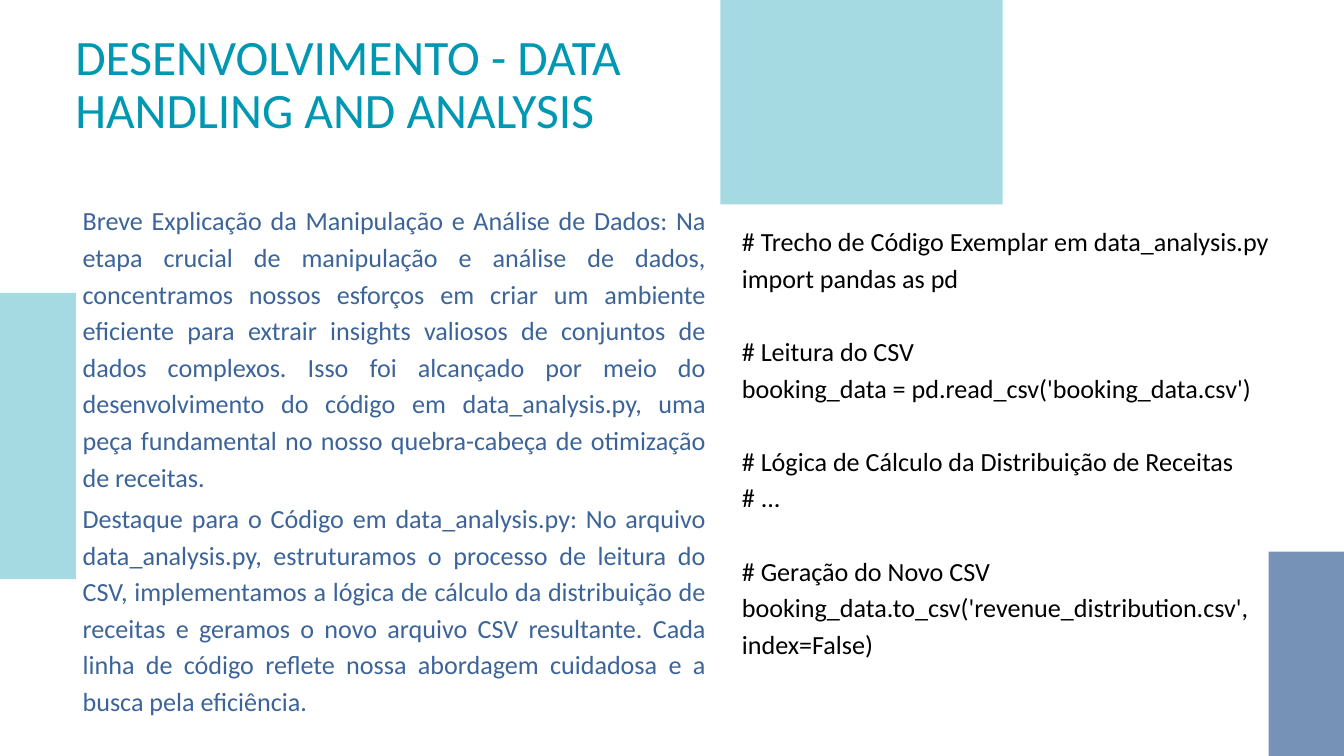
from dataclasses import dataclass

import pptx
import pptx.dml.color
import pptx.enum.shapes
import pptx.enum.text
import pptx.oxml.ns
import pptx.util
from lxml import etree
from pptx.util import Inches

ALIGN = pptx.enum.text.PP_ALIGN


@dataclass(frozen=True)
class Theme:
    """Colours, font and type sizes of the slide."""
    font: str = "Calibri"
    heading: str = "0097B2"
    prose: str = "3C6499"
    code: str = "000000"
    aqua: str = "80CBD8"
    navy: str = "3C6499"
    block_opacity: int = 70
    heading_size: float = 53
    heading_leading: float = 57.2
    body_size: float = 28
    body_leading: float = 39.2


THEME = Theme()

TITLE = "DESENVOLVIMENTO - DATA HANDLING AND ANALYSIS"
EXPLANATION = (
    "Breve Explicação da Manipulação e Análise de Dados: Na etapa crucial de manipulação e "
    "análise de dados, concentramos nossos esforços em criar um ambiente eficiente para extrair "
    "insights valiosos de conjuntos de dados complexos. Isso foi alcançado por meio do "
    "desenvolvimento do código em data_analysis.py, uma peça fundamental no nosso quebra-cabeça "
    "de otimização de receitas."
)
HIGHLIGHT = (
    "Destaque para o Código em data_analysis.py: No arquivo data_analysis.py, estruturamos o "
    "processo de leitura do CSV, implementamos a lógica de cálculo da distribuição de receitas e "
    "geramos o novo arquivo CSV resultante. Cada linha de código reflete nossa abordagem "
    "cuidadosa e a busca pela eficiência."
)
CODE_SECTIONS = [
    ["# Trecho de Código Exemplar em data_analysis.py", "import pandas as pd"],
    ["# Leitura do CSV", "booking_data = pd.read_csv('booking_data.csv')"],
    ["# Lógica de Cálculo da Distribuição de Receitas", "# ..."],
    ["# Geração do Novo CSV", "booking_data.to_csv('revenue_distribution.csv', index=False)"],
]

ACCENT_BLOCKS = [
    ((18.88, 8.21, 4.26, 3.84), THEME.navy),
    ((10.72, -0.01, 4.2, 3.05), THEME.aqua),
    ((-3.07, 4.36, 4.2, 4.26), THEME.aqua),
]
TITLE_BOX = (1.12, 0.47, 8.23, 2.4)
EXPLANATION_BOX = (1.23, 2.97, 9.27, 4.33)
HIGHLIGHT_BOX = (1.23, 7.4, 9.27, 3.25)
CODE_BOX = (11.04, 3.28, 9.27, 7.04)


def set_attributes(target, values):
    """Set each named value on the target."""
    for name, value in values.items():
        setattr(target, name, value)


def format_frame(frame):
    """Remove the insets and let the text wrap from the top."""
    set_attributes(frame, {
        "margin_left": 0, "margin_top": 0, "margin_right": 0, "margin_bottom": 0,
        "word_wrap": True,
        "vertical_anchor": pptx.enum.text.MSO_ANCHOR.TOP,
        "auto_size": pptx.enum.text.MSO_AUTO_SIZE.SHAPE_TO_FIT_TEXT,
    })


def write_paragraph(paragraph, wording, color, size, leading, alignment, gap=0):
    """Fill a paragraph and give it its type and spacing."""
    paragraph.text = wording
    set_attributes(paragraph, {
        "alignment": alignment,
        "line_spacing": pptx.util.Pt(leading),
        "space_before": pptx.util.Pt(gap),
    })
    set_attributes(paragraph.font, {"name": THEME.font, "size": pptx.util.Pt(size)})
    paragraph.font.color.rgb = pptx.dml.color.RGBColor.from_string(color)


def add_accent_block(slide, box, color):
    """Draw one translucent rectangle that bleeds off the slide edge."""
    block = slide.shapes.add_shape(
        pptx.enum.shapes.MSO_SHAPE.RECTANGLE, *map(Inches, box))
    block.shadow.inherit = False
    block.line.fill.background()
    block.fill.solid()
    block.fill.fore_color.rgb = pptx.dml.color.RGBColor.from_string(color)
    fill_color = block.fill._xPr.find(".//" + pptx.oxml.ns.qn("a:srgbClr"))
    alpha = etree.SubElement(fill_color, pptx.oxml.ns.qn("a:alpha"))
    alpha.set("val", str(THEME.block_opacity * 1000))


def place_title(slide, box):
    """Move and format the title placeholder."""
    title = slide.shapes.title
    set_attributes(title, dict(zip(("left", "top", "width", "height"), map(Inches, box))))
    format_frame(title.text_frame)
    write_paragraph(title.text_frame.paragraphs[0], TITLE, THEME.heading,
                    THEME.heading_size, THEME.heading_leading, ALIGN.LEFT)


def add_body(slide, box, sections, color):
    """Add justified lines, with one line of space between sections."""
    frame = slide.shapes.add_textbox(*map(Inches, box)).text_frame
    format_frame(frame)
    for section_index, section in enumerate(sections):
        for line_index, wording in enumerate(section):
            starts_section = line_index == 0
            is_first = starts_section and section_index == 0
            paragraph = frame.paragraphs[0] if is_first else frame.add_paragraph()
            gap = THEME.body_leading if starts_section and not is_first else 0
            write_paragraph(paragraph, wording, color, THEME.body_size,
                            THEME.body_leading, ALIGN.JUSTIFY, gap)


def main():
    """Build the slide and save it."""
    deck = pptx.Presentation()
    set_attributes(deck, {"slide_width": Inches(20), "slide_height": Inches(11.25)})
    slide = deck.slides.add_slide(deck.slide_layouts.get_by_name("Title Only"))
    for box, color in ACCENT_BLOCKS:
        add_accent_block(slide, box, color)
    place_title(slide, TITLE_BOX)
    add_body(slide, EXPLANATION_BOX, [[EXPLANATION]], THEME.prose)
    add_body(slide, HIGHLIGHT_BOX, [[HIGHLIGHT]], THEME.prose)
    add_body(slide, CODE_BOX, CODE_SECTIONS, THEME.code)
    deck.save("out.pptx")


if __name__ == "__main__":
    main()
